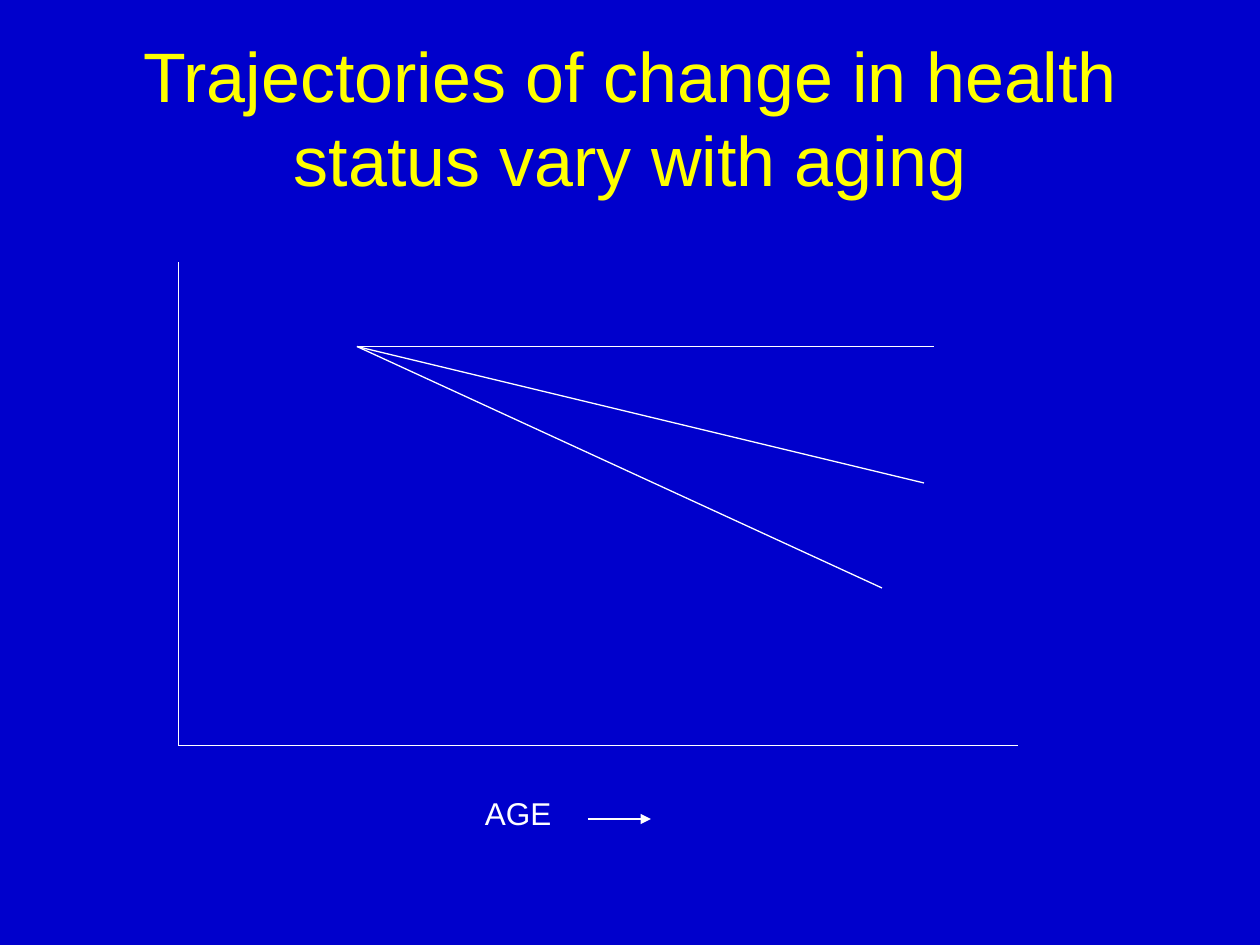
from lxml.etree import SubElement
from pptx import Presentation
from pptx.dml.color import RGBColor
from pptx.enum.shapes import MSO_CONNECTOR
from pptx.enum.text import MSO_ANCHOR, MSO_AUTO_SIZE, PP_ALIGN
from pptx.oxml.ns import qn
from pptx.util import Inches, Pt

# Grid: 120 columns by 90 rows
WIDTH, HEIGHT = Inches(10), Inches(7.5)
COLS, ROWS = 120, 90
WHITE, YELLOW, BLUE = "FFFFFF", "FFFF00", "0000CC"


def color(value):
    return RGBColor.from_string(value)


def grid(col, row):
    return round(col * WIDTH / COLS), round(row * HEIGHT / ROWS)


def write(sp, text, size, fill=WHITE, align=PP_ALIGN.LEFT,
          anchor=MSO_ANCHOR.TOP, auto_size=MSO_AUTO_SIZE.NONE):
    tf = sp.text_frame
    tf.word_wrap = True
    tf.auto_size = auto_size
    tf.vertical_anchor = anchor
    p = tf.paragraphs[0]
    p.alignment = align
    p.space_before = Pt(0)
    r = p.add_run()
    r.text = text
    r.font.name, r.font.size = "Arial", Pt(size)
    r.font.color.rgb = color(fill)


def add_line(s, start, end, arrow=False):
    line = s.shapes.add_connector(MSO_CONNECTOR.STRAIGHT, *grid(*start), *grid(*end))
    line.line.color.rgb = color(WHITE)
    line.line.width = Pt(0.75)
    if arrow:
        SubElement(line.line._get_or_add_ln(), qn("a:tailEnd"), type="triangle")
    SubElement(line._element.spPr, qn("a:effectLst"))


def add_title(s, left, top, width, height):
    sp = s.shapes.title
    sp.left, sp.top = grid(left, top)
    sp.width, sp.height = grid(width, height)
    write(sp, "Trajectories of change in health status vary with aging", 40,
          fill=YELLOW, align=PP_ALIGN.CENTER, anchor=MSO_ANCHOR.MIDDLE)


def add_trajectories(s, left, top, width, height):
    # Axes
    origin = (left, top + height)
    add_line(s, (left, top), origin)
    add_line(s, origin, (left + width, top + height))
    # Stable, slow and fast decline from one starting point
    start = (left + 17, top + 8)
    for run, drop in ((55, 0), (54, 13), (50, 23)):
        add_line(s, start, (start[0] + run, start[1] + drop))


def add_age_label(s, left, top, width, height):
    sp = s.shapes.add_textbox(*grid(left, top), *grid(width, height))
    write(sp, "AGE", 18, auto_size=MSO_AUTO_SIZE.SHAPE_TO_FIT_TEXT)
    add_line(s, (left + 11, top + 3), (left + 17, top + 3), arrow=True)


def main():
    prs = Presentation()
    prs.slide_width, prs.slide_height = WIDTH, HEIGHT
    s = prs.slides.add_slide(prs.slide_layouts[5])
    s.background.fill.solid()
    s.background.fill.fore_color.rgb = color(BLUE)

    add_title(s, 6, 3.6, 108, 15)
    add_trajectories(s, 17, 25, 80, 46)
    add_age_label(s, 45, 75, 31, 4.8)
    prs.save("out.pptx")


if __name__ == "__main__":
    main()
